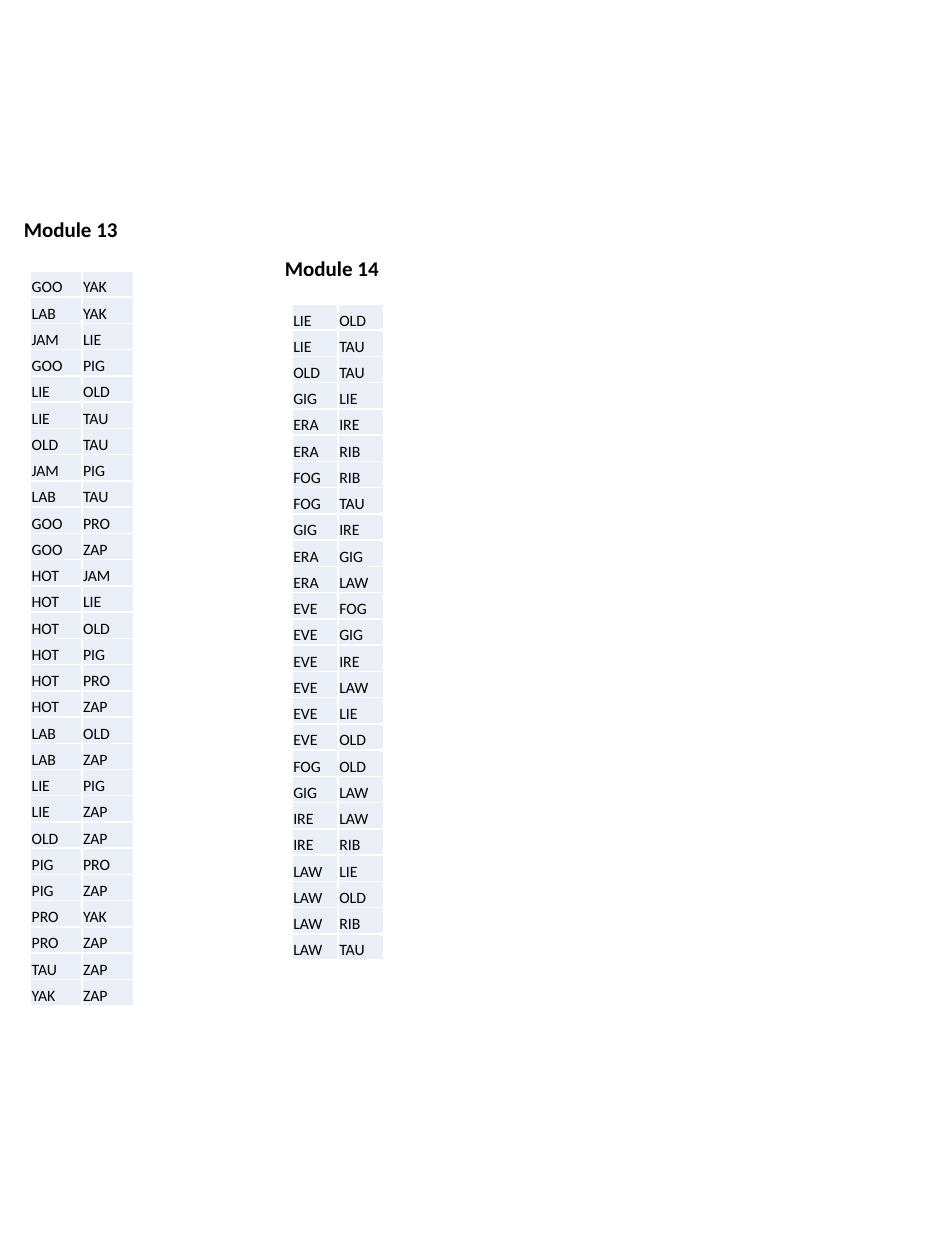
"""Build a slide with the word pairs of two modules, each in a headed table."""
import pptx
import pptx.dml.color
import pptx.enum.text
import pptx.oxml
import pptx.oxml.ns
import pptx.util

Pt = pptx.util.Pt
RGB = pptx.dml.color.RGBColor.from_string
COLORS = {"text": "000000", "cell": "EAEFF7", "edge": "FFFFFF"}
ROW = 15
CELL = {
    "margin_left": Pt(0.6),
    "margin_right": Pt(0.6),
    "margin_top": Pt(0.6),
    "margin_bottom": 0,
    "vertical_anchor": pptx.enum.text.MSO_ANCHOR.BOTTOM,
}
HEAD = {"name": "Calibri", "size": Pt(12), "bold": True}
BODY = {"name": "Calibri", "size": Pt(9), "bold": False}

MODULES = [
    {
        "name": "Module 13", "head": (6.5, 120.4), "grid": (17.5, 154.8), "col": 29.4,
        "pairs": """GOO YAK, LAB YAK, JAM LIE, GOO PIG, LIE OLD, LIE TAU, OLD TAU,
            JAM PIG, LAB TAU, GOO PRO, GOO ZAP, HOT JAM, HOT LIE, HOT OLD,
            HOT PIG, HOT PRO, HOT ZAP, LAB OLD, LAB ZAP, LIE PIG, LIE ZAP,
            OLD ZAP, PIG PRO, PIG ZAP, PRO YAK, PRO ZAP, TAU ZAP, YAK ZAP""",
    },
    {
        "name": "Module 14", "head": (155.7, 142.6), "grid": (167, 173.7), "col": 26.3,
        "pairs": """LIE OLD, LIE TAU, OLD TAU, GIG LIE, ERA IRE, ERA RIB, FOG RIB,
            FOG TAU, GIG IRE, ERA GIG, ERA LAW, EVE FOG, EVE GIG, EVE IRE,
            EVE LAW, EVE LIE, EVE OLD, FOG OLD, GIG LAW, IRE LAW, IRE RIB,
            LAW LIE, LAW OLD, LAW RIB, LAW TAU""",
    },
]


def write(frame, text, style):
    """Put styled text in a frame."""
    run = frame.paragraphs[0].add_run()
    run.text = text
    run.font.color.rgb = RGB(COLORS["text"])
    for key, value in style.items():
        setattr(run.font, key, value)


def edge(cell):
    """Draw thin lines on all sides of a cell."""
    props = cell._tc.get_or_add_tcPr()
    for side in ("lnL", "lnR", "lnT", "lnB"):
        props.append(pptx.oxml.parse_xml(
            f'<a:{side} {pptx.oxml.ns.nsdecls("a")} w="{Pt(1)}"><a:solidFill>'
            f'<a:srgbClr val="{COLORS["edge"]}"/></a:solidFill></a:{side}>'
        ))


deck = pptx.Presentation()
deck.slide_width, deck.slide_height = Pt(540), Pt(720)
slide = deck.slides.add_slide(deck.slide_layouts[6])

for module in MODULES:
    pairs = [pair.split() for pair in module["pairs"].split(",")]
    left, top = module["grid"]
    table = slide.shapes.add_table(
        len(pairs), 2, Pt(left), Pt(top), Pt(2 * module["col"]), Pt(ROW * len(pairs))
    ).table
    table.first_row = table.horz_banding = False
    for row, pair in enumerate(pairs):
        for col, word in enumerate(pair):
            cell = table.cell(row, col)
            edge(cell)
            cell.fill.solid()
            cell.fill.fore_color.rgb = RGB(COLORS["cell"])
            for key, value in CELL.items():
                setattr(cell, key, value)
            write(cell.text_frame, word, BODY)

for module in MODULES:
    left, top = module["head"]
    box = slide.shapes.add_textbox(Pt(left), Pt(top), Pt(84), Pt(21.8))
    box.text_frame.word_wrap = True
    box.text_frame.auto_size = pptx.enum.text.MSO_AUTO_SIZE.SHAPE_TO_FIT_TEXT
    write(box.text_frame, module["name"], HEAD)

deck.save("out.pptx")
